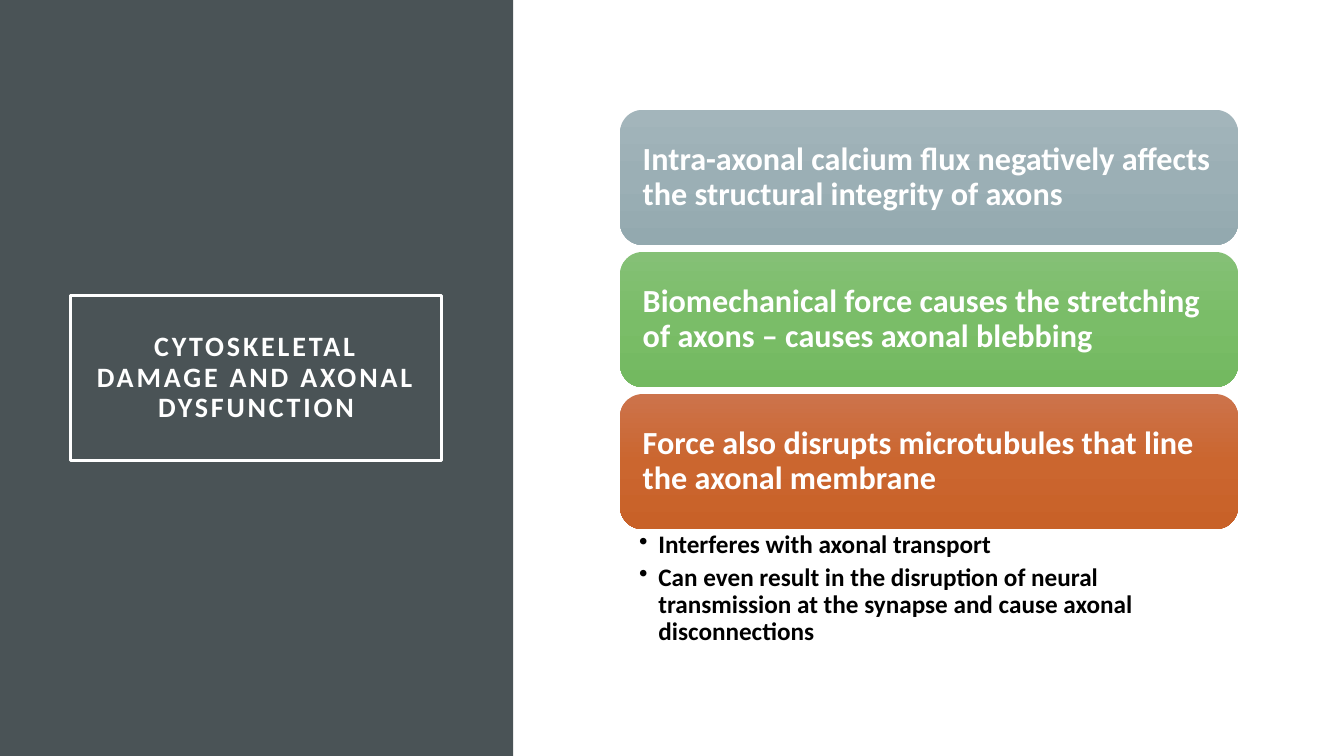
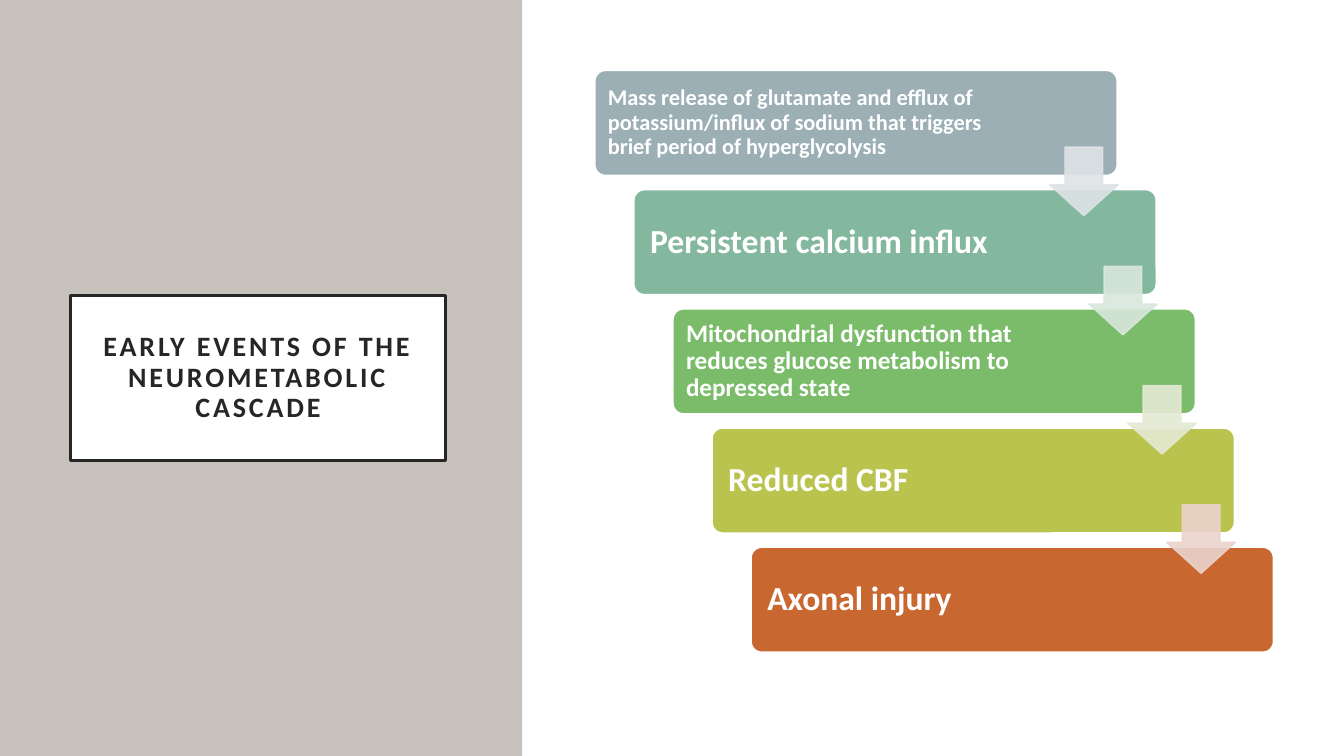
import copy
from dataclasses import dataclass

import pptx
import pptx.dml.color
import pptx.enum.shapes
import pptx.enum.text
import pptx.oxml
import pptx.oxml.ns
import pptx.util
from pptx.util import Inches

SHAPE = pptx.enum.shapes.MSO_SHAPE
ANCHOR = pptx.enum.text.MSO_ANCHOR
ALIGN = pptx.enum.text.PP_ALIGN
qn = pptx.oxml.ns.qn


@dataclass(frozen=True)
class Theme:
    font: str = "Calibri"
    white: str = "FFFFFF"
    black: str = "000000"
    ink: str = "262626"
    slate: str = "4A5356"
    stone: str = "C6C1BA"
    title_size: int = 20
    bar_size: int = 23
    bullet_size: int = 18
    line_spacing: float = 0.9
    title_line: float = 2.5
    thin_line: float = 1


THEME = Theme()

BARS = [
    ("Intra-axonal calcium flux negatively affects the structural integrity of axons",
     ("A3B5BB", "9BAFB5", "93A9AF")),
    ("Biomechanical force causes the stretching of axons – causes axonal blebbing",
     ("85C076", "7ABD68", "73B960")),
    ("Force also disrupts microtubules that line the axonal membrane",
     ("CC734B", "CB662F", "C86128")),
]
BULLETS = [
    "Interferes with axonal transport",
    "Can even result in the disruption of neural transmission at the synapse "
    "and cause axonal disconnections",
]

# Text, type size, left inset, right inset, fill, colour of the arrow to the next step
STEPS = [
    ("Mass release of glutamate and efflux of potassium/influx of sodium that "
     "triggers brief period of hyperglycolysis", 16, 0.1, 1.28, "9BAFB5", "DEE3E5"),
    ("Persistent calcium influx", 24, 0.13, 1.19, "83B79E", "D9E7DC"),
    ("Mitochondrial dysfunction that reduces glucose metabolism to depressed state",
     18, 0.1, 1.16, "7ABC69", "E4E9D3"),
    ("Reduced CBF", 24, 0.13, 1.19, "BAC34D", "EBD3CD"),
    ("Axonal injury", 24, 0.13, 1.19, "C96731", None),
]


def rgb(value):
    return pptx.dml.color.RGBColor.from_string(value)


def add_block(page, kind, box, fill=None, line=None, width=0):
    """Add a flat preset shape; box is left, top, width, height in inches."""
    shape = page.shapes.add_shape(kind, *map(Inches, box))
    shape.shadow.inherit = False
    if fill:
        shape.fill.solid()
        shape.fill.fore_color.rgb = rgb(fill)
    else:
        shape.fill.background()
    if line:
        shape.line.color.rgb = rgb(line)
        shape.line.width = pptx.util.Pt(width)
    else:
        shape.line.fill.background()
    return shape


def set_frame(shape, insets, anchor=ANCHOR.MIDDLE):
    frame = shape.text_frame
    frame.word_wrap = True
    frame.vertical_anchor = anchor
    (frame.margin_left, frame.margin_top,
     frame.margin_right, frame.margin_bottom) = map(Inches, insets)
    return frame


def write(para, text, size, color, align=ALIGN.LEFT):
    para.alignment = align
    para.line_spacing = THEME.line_spacing
    span = para.add_run()
    span.text = text
    span.font.name = THEME.font
    span.font.size = pptx.util.Pt(size)
    span.font.bold = True
    span.font.color.rgb = rgb(color)
    return span


def set_gradient(shape, colors):
    """Fill from top to bottom with evenly spaced colours."""
    shape.fill.gradient()
    shape.fill.gradient_angle = 270
    stop_list = shape.element.spPr.find(qn("a:gradFill")).find(qn("a:gsLst"))
    while len(stop_list) < len(colors):
        stop_list.append(copy.deepcopy(stop_list[0]))
    for index, (stop, color) in enumerate(zip(shape.fill.gradient_stops, colors)):
        stop.position = index / (len(colors) - 1)
        stop.color.rgb = rgb(color)


def set_opacity(shape, percent):
    for color in shape.element.spPr.iter(qn("a:srgbClr")):
        alpha = pptx.oxml.parse_xml(f'<a:alpha {pptx.oxml.ns.nsdecls("a")} val="{percent * 1000}"/>')
        color.append(alpha)


def add_side_panel(page, box, title, title_width, panel, ink, title_fill=None):
    """Coloured band at the side with a framed title."""
    left, top, _, _ = box
    add_block(page, SHAPE.RECTANGLE, box, panel)
    frame_box = (left + 0.7, top + 2.93, title_width, 1.64)
    plate = add_block(page, SHAPE.RECTANGLE, frame_box, title_fill, ink, THEME.title_line)
    frame = set_frame(plate, (0.2, 0.2, 0.2, 0.2))
    span = write(frame.paragraphs[0], title, THEME.title_size, ink, ALIGN.CENTER)
    span._r.get_or_add_rPr().set("spc", "200")


def add_bullets(page, box, bullets):
    frame = set_frame(page.shapes.add_textbox(*map(Inches, box)),
                      (0.19, 0.03, 0.18, 0.03), ANCHOR.TOP)
    for index, text in enumerate(bullets):
        para = frame.add_paragraph() if index else frame.paragraphs[0]
        write(para, text, THEME.bullet_size, THEME.black)
        para.space_after = pptx.util.Pt(0.2 * THEME.bullet_size)
        props = para._p.get_or_add_pPr()
        props.set("marL", str(Inches(0.19)))
        props.set("indent", str(-Inches(0.19)))
        props.append(pptx.oxml.parse_xml(f'<a:buChar {pptx.oxml.ns.nsdecls("a")} char="•"/>'))


def add_bar_list(page, box, bars, bullets):
    """Stacked gradient bars with bullets under the last one."""
    left, top, width, height = box
    bar_height, gap = 1.34, 0.07
    for index, (text, colors) in enumerate(bars):
        bar_top = top + index * (bar_height + gap)
        bar = add_block(page, SHAPE.ROUNDED_RECTANGLE, (left, bar_top, width, bar_height))
        set_gradient(bar, colors)
        frame = set_frame(bar, (0.16, 0.16, 0.17, 0.16))
        write(frame.paragraphs[0], text, THEME.bar_size, THEME.white)
    bullet_top = top + len(bars) * (bar_height + gap) - gap
    add_bullets(page, (left, bullet_top, width, top + height - bullet_top), bullets)


def add_cascade(page, box, steps):
    """Staircase of steps from top left to bottom right, joined by arrows."""
    left, top, width, height = box
    step_width, step_height, arrow_size = 5.18, 1.04, 0.68
    shift = (width - step_width) / (len(steps) - 1)
    drop = (height - step_height) / (len(steps) - 1)
    places = [(left + i * shift, top + i * drop) for i in range(len(steps))]

    # Steps
    for (x, y), (text, size, inset_left, inset_right, fill, _) in zip(places, steps):
        step = add_block(page, SHAPE.ROUNDED_RECTANGLE, (x, y, step_width, step_height),
                         fill, THEME.white, THEME.thin_line)
        step.adjustments[0] = 0.1
        frame = set_frame(step, (inset_left, 0.1, inset_right, 0.1))
        write(frame.paragraphs[0], text, size, THEME.white)

    # Arrows, in front of all steps
    for (x, y), (*_, color) in zip(places[:-1], steps):
        arrow = add_block(page, SHAPE.DOWN_ARROW, (x + 4.51, y + 0.76, arrow_size, arrow_size),
                          color, color, THEME.thin_line)
        arrow.adjustments[0] = 0.55
        arrow.adjustments[1] = 0.45
        set_opacity(arrow, 90)


def main():
    deck = pptx.Presentation()
    deck.slide_width, deck.slide_height = Inches(13.33), Inches(7.5)
    blank = deck.slide_layouts[6]

    # Cytoskeletal damage
    page = deck.slides.add_slide(blank)
    add_side_panel(page, (0, 0, 5.09, 7.5), "CYTOSKELETAL DAMAGE AND AXONAL DYSFUNCTION",
                   3.68, THEME.slate, THEME.white)
    add_bar_list(page, (6.15, 1.09, 6.13, 5.32), BARS, BULLETS)

    # Neurometabolic cascade
    page = deck.slides.add_slide(blank)
    add_side_panel(page, (0, 0, 5.18, 7.5), "EARLY EVENTS OF THE NEUROMETABOLIC CASCADE",
                   3.72, THEME.stone, THEME.ink, THEME.white)
    add_cascade(page, (5.9, 0.7, 6.73, 5.77), STEPS)

    deck.save("out.pptx")


if __name__ == "__main__":
    main()
